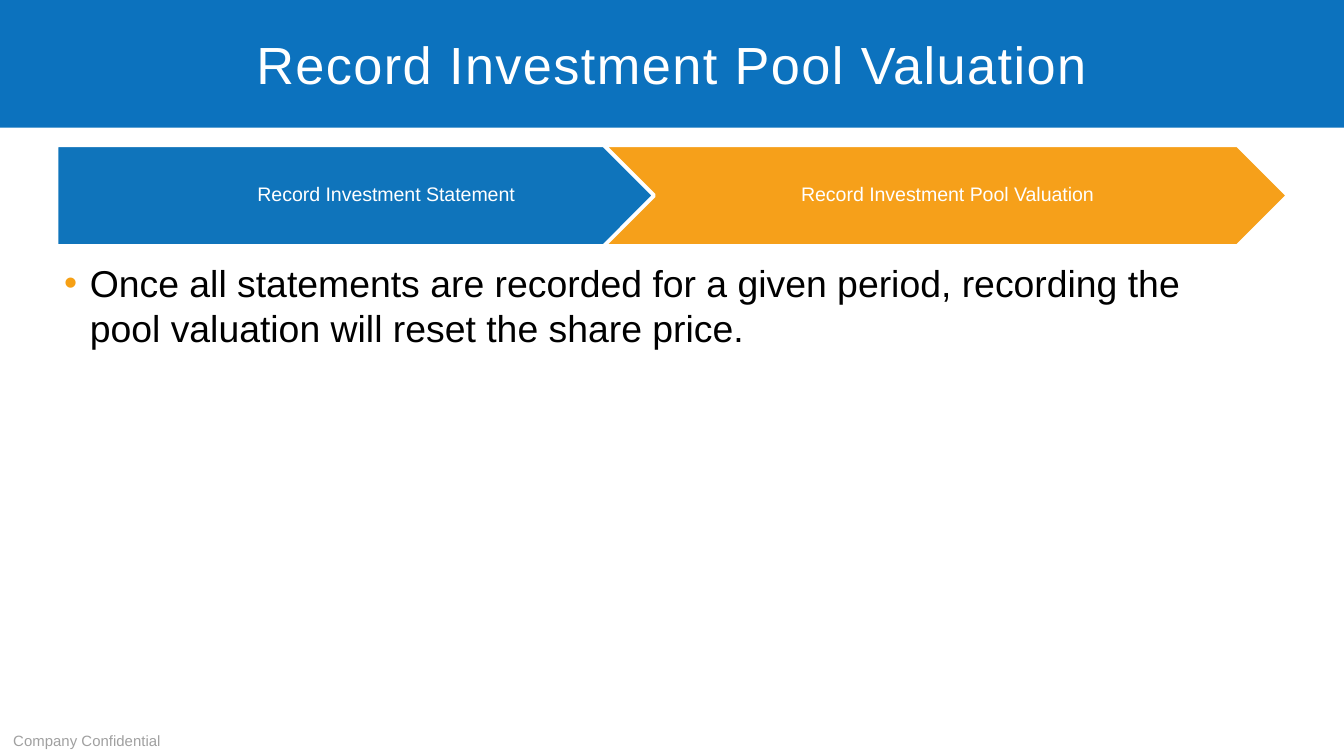
"""Build the investment pool valuation slide with its two-step process banner."""
from dataclasses import dataclass

from lxml import etree
from pptx import Presentation, util as u
from pptx.dml.color import RGBColor
from pptx.enum import shapes, text
from pptx.oxml.ns import qn

TITLE = "Record Investment Pool Valuation"
BODY = "Once all statements are recorded for a given period, recording the pool valuation will reset the share price."
FOOTER = "Company Confidential"
STEPS = [
    ("Record Investment Statement ", shapes.MSO_SHAPE.PENTAGON, "0F74BB", (0, 4.91), 0.06),
    ("Record Investment Pool Valuation", shapes.MSO_SHAPE.CHEVRON, "F6A01A", (0.37, 4.35), 0.05),
]


@dataclass(frozen=True)
class Theme:
    font: str = "Arial"
    band: str = "0C72BE"
    white: str = "FFFFFF"
    ink: str = "000000"
    bullet: str = "F6A014"
    muted: str = "A0A0A0"
    title_size: float = 28
    body_size: float = 20
    step_size: float = 10.5
    footer_size: float = 8


THEME = Theme()
WIDTH = 10
HEIGHT = WIDTH * 9 / 16
BAND_HEIGHT = 0.95
STEP_LEFT, STEP_TOP, STEP_WIDTH, STEP_HEIGHT = 0.42, 1.08, 5.09, 0.75
STEP_PITCH = 0.8 * STEP_WIDTH


def set_text(shape, content, size, color, anchor, align, insets=(0.1, 0.05, 0.1, 0.05)):
    frame = shape.text_frame
    frame.text = content
    frame.word_wrap = True
    frame.vertical_anchor = anchor
    frame.margin_left, frame.margin_top, frame.margin_right, frame.margin_bottom = map(u.Inches, insets)
    paragraph = frame.paragraphs[0]
    paragraph.alignment = align
    font = paragraph.runs[0].font
    font.name, font.size = THEME.font, u.Pt(size)
    font.color.rgb = RGBColor.from_string(color)
    return paragraph


def add_block(slide, kind, box, fill, line=None):
    shape = slide.shapes.add_shape(kind, *map(u.Inches, box))
    shape.shadow.inherit = False
    shape.fill.solid()
    shape.fill.fore_color.rgb = RGBColor.from_string(fill)
    if line:
        shape.line.color.rgb = RGBColor.from_string(line)
        shape.line.width = u.Pt(2)
    else:
        shape.line.fill.background()
    return shape


def add_text(slide, box, *style):
    return set_text(slide.shapes.add_textbox(*map(u.Inches, box)), *style)


def add_bullet(paragraph):
    properties = paragraph._p.get_or_add_pPr()
    properties.set("marL", str(u.Inches(0.19)))
    properties.set("indent", str(u.Inches(-0.19)))
    color = etree.SubElement(properties, qn("a:buClr"))
    etree.SubElement(color, qn("a:srgbClr"), val=THEME.bullet)
    etree.SubElement(properties, qn("a:buFont"), typeface=THEME.font)
    etree.SubElement(properties, qn("a:buChar"), char="•")


def add_steps(slide):
    for index, (label, kind, fill, (offset, width), inset) in enumerate(STEPS):
        left = STEP_LEFT + index * STEP_PITCH
        add_block(slide, kind, (left, STEP_TOP, STEP_WIDTH, STEP_HEIGHT), fill, THEME.white)
        paragraph = add_text(
            slide, (left + offset, STEP_TOP, width, STEP_HEIGHT), label, THEME.step_size, THEME.white,
            text.MSO_ANCHOR.MIDDLE, text.PP_ALIGN.CENTER, (inset, 0.03, 0.02, 0.03))
        paragraph.line_spacing = 0.9


def main():
    presentation = Presentation()
    presentation.slide_width, presentation.slide_height = u.Inches(WIDTH), u.Inches(HEIGHT)
    slide = presentation.slides.add_slide(presentation.slide_layouts[6])

    band = add_block(slide, shapes.MSO_SHAPE.RECTANGLE, (0, 0, WIDTH, BAND_HEIGHT), THEME.band)
    title = set_text(band, TITLE, THEME.title_size, THEME.white, text.MSO_ANCHOR.MIDDLE, text.PP_ALIGN.CENTER)
    title.runs[0]._r.get_or_add_rPr().set("spc", "80")

    body = add_text(slide, (0.38, 1.89, 8.74, 3.3), BODY, THEME.body_size, THEME.ink,
                    text.MSO_ANCHOR.TOP, text.PP_ALIGN.LEFT)
    body.space_before = body.space_after = u.Pt(6)
    add_bullet(body)

    add_text(slide, (0, HEIGHT - 0.3, 3.38, 0.3), FOOTER, THEME.footer_size, THEME.muted,
             text.MSO_ANCHOR.BOTTOM, text.PP_ALIGN.LEFT)
    add_steps(slide)
    presentation.save("out.pptx")


if __name__ == "__main__":
    main()
